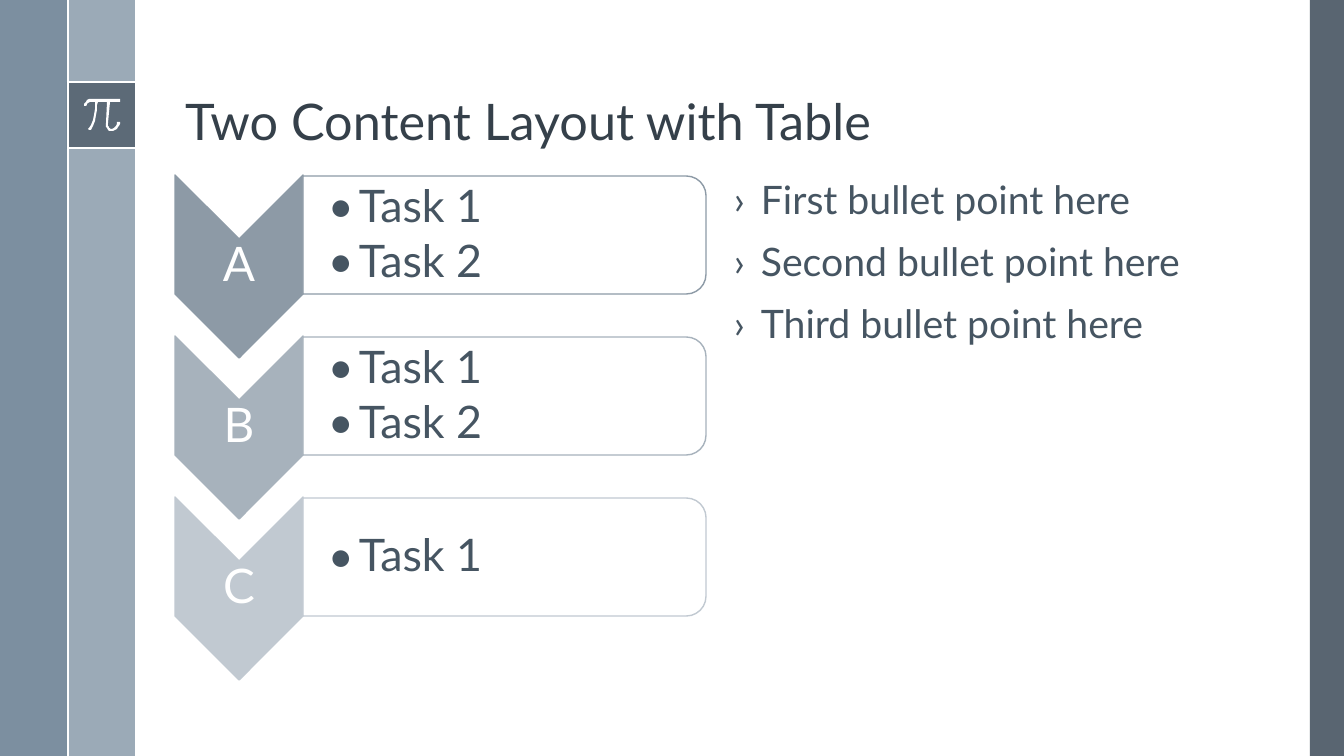
import lxml.etree
import pptx
import pptx.dml.color
import pptx.enum.shapes
import pptx.enum.text
import pptx.oxml.ns
import pptx.util

SCALE = 914400 / 100.8
FONT = "Lato"
RGBColor = pptx.dml.color.RGBColor
WHITE = RGBColor(0xFF, 0xFF, 0xFF)
SLATE = RGBColor(0x47, 0x55, 0x62)
STEEL = RGBColor(0x6A, 0x80, 0x93)
MIST = RGBColor(0x9B, 0xAA, 0xB7)
TITLE_INK = RGBColor(0x35, 0x40, 0x4A)
BODY_INK = RGBColor(0x46, 0x55, 0x62)
STAGES = [
    ("A", RGBColor(0x8D, 0x9A, 0xA6), ["Task 1", "Task 2"]),
    ("B", RGBColor(0xA7, 0xB2, 0xBC), ["Task 1", "Task 2"]),
    ("C", RGBColor(0xC1, 0xC9, 0xD1), ["Task 1"]),
]
POINTS = ["First bullet point here", "Second bullet point here", "Third bullet point here"]
PI_START = (35, 0)
PI_SEGMENTS = [
    [(7, 0)], [(2, 0), (0, 5), (0, 6)], [(0, 6), (0, 7), (1, 7)], [(2, 7)],
    [(2, 7), (4, 3), (7, 3)], [(11, 3)], [(11, 7), (10, 24), (5, 29)],
    [(4, 30), (4, 30), (5, 31)], [(7, 31)], [(12, 25), (13, 7), (14, 3)],
    [(23, 3)], [(22, 24)], [(22, 24), (21, 28), (24, 31)],
    [(25, 32), (26, 32), (27, 32)], [(29, 32)], [(34, 32), (36, 25), (36, 24)],
    [(36, 24), (35, 23), (35, 23)], [(34, 23), (33, 23), (33, 24)],
    [(33, 24), (32, 29), (28, 30)], [(27, 30), (26, 30), (25, 29)],
    [(24, 28), (24, 25), (24, 24)], [(26, 3)], [(35, 3)],
    [(36, 3), (36, 2), (36, 2)], [(36, 1), (36, 0), (35, 0)],
]


def px(length):
    return pptx.util.Emu(round(length * SCALE))


def add_child(parent, tag, **attributes):
    child = lxml.etree.SubElement(parent, pptx.oxml.ns.qn(tag))
    for name, value in attributes.items():
        child.set(name, str(value))
    return child


def paint(shape, fill, line=None, opacity=100):
    shape.shadow.inherit = False
    shape.fill.solid()
    shape.fill.fore_color.rgb = fill
    if opacity < 100:
        color = shape.fill._xPr.find(".//" + pptx.oxml.ns.qn("a:srgbClr"))
        add_child(color, "a:alpha", val=opacity * 1000)
    if line is None:
        shape.line.fill.background()
    else:
        shape.line.color.rgb = line
        shape.line.width = pptx.util.Pt(1)


def add_preset(page, kind, box, fill, line=None, opacity=100, upright=True):
    left, top, width, height = box
    if not upright:
        left, top = left + (width - height) / 2, top + (height - width) / 2
        width, height = height, width
    shape = page.shapes.add_shape(kind, px(left), px(top), px(width), px(height))
    shape.rotation = 0 if upright else 90
    paint(shape, fill, line, opacity)


def add_rule(page, start, end):
    rule = page.shapes.add_connector(
        pptx.enum.shapes.MSO_CONNECTOR.STRAIGHT, *map(px, start + end))
    rule.line.color.rgb = WHITE
    rule.line.width = pptx.util.Pt(1.5)
    add_child(rule._element.spPr, "a:effectLst")


def add_text(page, lines, box, size, color, anchor="TOP", align="LEFT",
             insets=(10, 5, 10, 5), bullet=None, indent=0, before=0, after=0):
    frame = page.shapes.add_textbox(*map(px, box)).text_frame
    frame.word_wrap = True
    frame.vertical_anchor = pptx.enum.text.MSO_ANCHOR[anchor]
    frame.margin_left, frame.margin_top, frame.margin_right, frame.margin_bottom = map(px, insets)
    for number, line in enumerate(lines):
        para = frame.add_paragraph() if number else frame.paragraphs[0]
        para.alignment = pptx.enum.text.PP_ALIGN[align]
        para.line_spacing = 0.9
        para.space_before = pptx.util.Pt(before)
        para.space_after = pptx.util.Pt(after)
        if bullet:
            settings = para._p.get_or_add_pPr()
            settings.set("marL", str(px(indent)))
            settings.set("indent", str(-px(indent)))
            add_child(settings, "a:buFont", typeface=FONT)
            add_child(settings, "a:buChar", char=bullet)
        span = para.add_run()
        span.text = line
        span.font.name = FONT
        span.font.size = pptx.util.Pt(size)
        span.font.color.rgb = color


def curve_points(start, segment, steps=6):
    if len(segment) == 1:
        return segment
    corners = [start] + segment
    weights = (1, 3, 3, 1)
    return [
        tuple(sum(weights[k] * (1 - t) ** (3 - k) * t ** k * corners[k][axis]
                  for k in range(4)) for axis in (0, 1))
        for t in (step / steps for step in range(1, steps + 1))
    ]


def add_pi(page, left, top):
    outline = [PI_START]
    for segment in PI_SEGMENTS:
        outline += curve_points(outline[-1], segment)
    placed = [(left + x, top + y) for x, y in outline]
    builder = page.shapes.build_freeform(*placed[0], scale=SCALE)
    builder.add_line_segments(placed[1:], close=True)
    paint(builder.convert_to_shape(), WHITE)


def add_frame(page, box):
    left, top, width, height = box
    rectangle = pptx.enum.shapes.MSO_SHAPE.RECTANGLE
    band, tile_top = 67, top + 82
    middle, edge = left + band, left + 2 * band + 1
    add_preset(page, rectangle, (left + width - 34, top, 34, height), SLATE, opacity=90)
    add_preset(page, rectangle, (middle, top, band + 1, height), MIST)
    add_preset(page, rectangle, (left, top, band, height), STEEL, opacity=88)
    add_preset(page, rectangle, (middle, tile_top, band + 1, band), SLATE, opacity=75)
    for level in (tile_top, tile_top + band - 1):
        add_rule(page, (middle, level), (edge, level))
    add_pi(page, middle + 17, tile_top + 17)
    add_rule(page, (middle + 1, top), (middle + 1, top + height))


def add_stage(page, box, letter, color, tasks):
    left, top, width, height = box
    shapes = pptx.enum.shapes.MSO_SHAPE
    arrow, card_height = 128, 118
    card = left + arrow
    add_preset(page, shapes.CHEVRON, (left, top, arrow, height), color, color, upright=False)
    add_text(page, [letter], (left, top + 64, arrow, 54), 34, WHITE,
             anchor="MIDDLE", align="CENTER", insets=(2, 2, 2, 2))
    add_preset(page, shapes.ROUND_2_SAME_RECTANGLE, (card, top + 1, width - arrow, card_height),
               WHITE, color, opacity=90, upright=False)
    add_text(page, tasks, (card, top + 7, width - arrow - 6, 107), 32, BODY_INK,
             anchor="MIDDLE", insets=(25, 2, 2, 2), bullet="•", indent=31, after=4.8)


def add_stages(page, box):
    left, top, width, height = box
    stage_height = 183
    step = (height - stage_height) / (len(STAGES) - 1)
    for row, stage in enumerate(STAGES):
        add_stage(page, (left, top + row * step, width, stage_height), *stage)


def add_content_slide(deck):
    page = deck.slides.add_slide(deck.slide_layouts[6])
    add_frame(page, (0, 0, 1344, 756))
    add_text(page, ["Two Content Layout with Table"], (175, 19, 1079, 137), 36,
             TITLE_INK, anchor="BOTTOM")
    add_text(page, POINTS, (724, 176, 531, 504), 28, BODY_INK,
             bullet="›", indent=27, before=14)
    add_stages(page, (175, 175, 531, 505))


def main():
    deck = pptx.Presentation()
    deck.slide_width, deck.slide_height = px(1344), px(756)
    add_content_slide(deck)
    deck.save("out.pptx")


if __name__ == "__main__":
    main()
